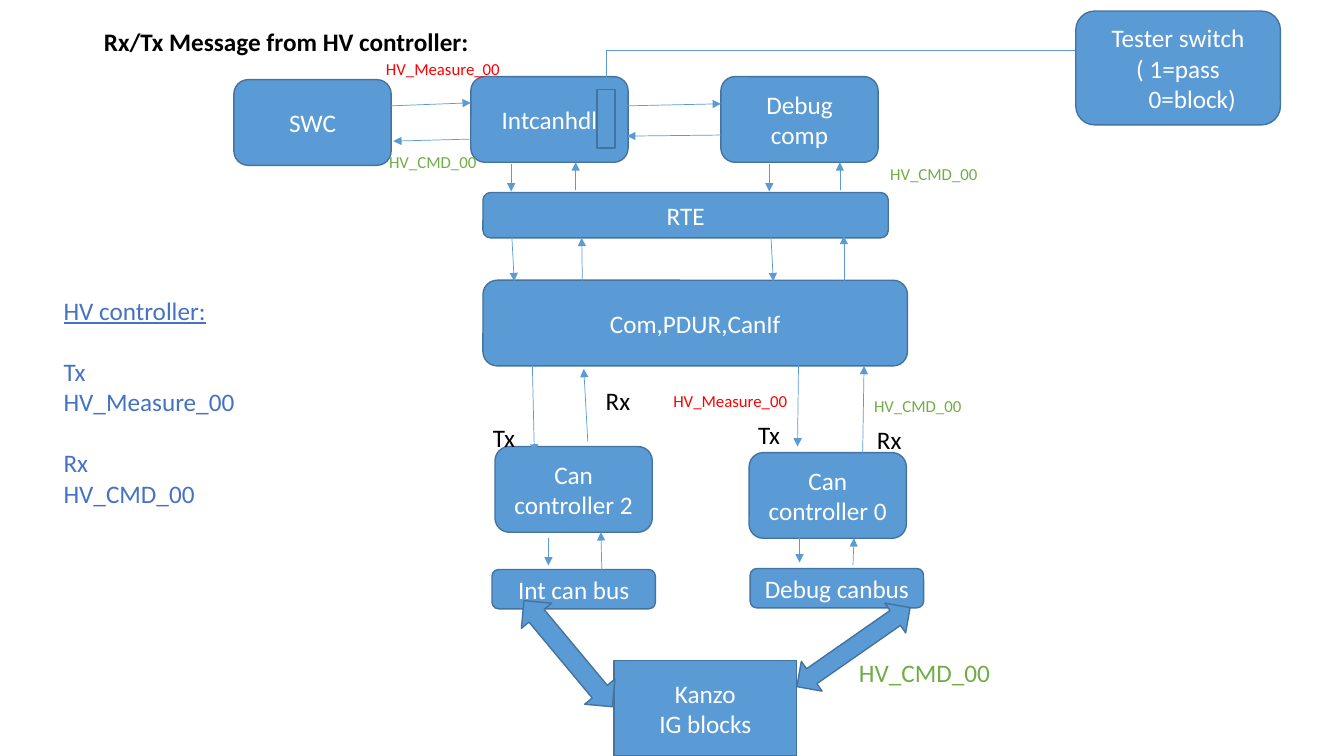
from dataclasses import dataclass

from lxml.etree import SubElement
from pptx import Presentation
from pptx.dml.color import RGBColor as Color
from pptx.enum.shapes import MSO_CONNECTOR as Connector, MSO_SHAPE as Preset
from pptx.enum.text import MSO_ANCHOR as Anchor, MSO_AUTO_SIZE as AutoSize, PP_ALIGN as Align
from pptx.oxml.ns import qn
from pptx.util import Inches, Pt


@dataclass(frozen=True)
class Theme:
    font: str = "Calibri"
    fill: str = "5B9BD5"
    outline: str = "43739E"
    white: str = "FFFFFF"
    black: str = "000000"
    receive: str = "70AD47"
    transmit: str = "FF0000"
    summary: str = "4472C4"
    text_size: int = 18
    label_size: int = 12
    outline_width: float = 1
    arrow_width: float = 0.5


class DiagramSlide:
    def __init__(self, presentation, theme):
        self.theme = theme
        self.slide = presentation.slides.add_slide(presentation.slide_layouts[1])

    def place(self, shape, bounds):
        for name, value in zip(("left", "top", "width", "height"), bounds):
            setattr(shape, name, Inches(value))

    def set_text(self, shape, lines, color, size, align=Align.LEFT, anchor=Anchor.TOP, bold=False):
        frame = shape.text_frame
        frame_format = {"word_wrap": True, "auto_size": AutoSize.NONE, "vertical_anchor": anchor}
        for name, value in frame_format.items():
            setattr(frame, name, value)
        frame.text = "\n".join(lines)
        paragraph_format = {"alignment": align, "space_before": Pt(0), "line_spacing": 1.0}
        font_format = {"name": self.theme.font, "size": Pt(size), "bold": bold}
        for paragraph in frame.paragraphs:
            for name, value in paragraph_format.items():
                setattr(paragraph, name, value)
            for run in paragraph.runs:
                for name, value in font_format.items():
                    setattr(run.font, name, value)
                run.font.color.rgb = Color.from_string(color)
        return frame.paragraphs

    def title(self, text, bounds):
        shape = self.slide.shapes.title
        self.place(shape, bounds)
        self.set_text(shape, [text], self.theme.black, self.theme.text_size, bold=True)

    def summary(self, lines, bounds, group_starts):
        shape = self.slide.placeholders[1]
        self.place(shape, bounds)
        paragraphs = self.set_text(shape, lines, self.theme.summary, self.theme.text_size)
        for paragraph in paragraphs:
            properties = paragraph._p.get_or_add_pPr()
            for name in ("marL", "indent"):
                properties.set(name, "0")
            SubElement(properties, qn("a:buNone"))
        paragraphs[0].runs[0].font.underline = True
        for index in group_starts:
            paragraphs[index].space_before = Pt(22)

    def block(self, bounds, lines=(), preset=Preset.ROUNDED_RECTANGLE, rotation=0):
        shape = self.slide.shapes.add_shape(preset, *map(Inches, bounds))
        shape.shadow.inherit = False
        shape.rotation = rotation
        shape.fill.solid()
        shape.fill.fore_color.rgb = Color.from_string(self.theme.fill)
        shape.line.color.rgb = Color.from_string(self.theme.outline)
        shape.line.width = Pt(self.theme.outline_width)
        if lines:
            self.set_text(shape, lines, self.theme.white, self.theme.text_size, Align.CENTER, Anchor.MIDDLE)
        return shape

    def label(self, text, bounds, color, size):
        shape = self.slide.shapes.add_textbox(*map(Inches, bounds))
        self.set_text(shape, [text], color, size)

    def arrow(self, start, end, kind=Connector.STRAIGHT):
        connector = self.slide.shapes.add_connector(kind, *map(Inches, start + end))
        connector.line.color.rgb = Color.from_string(self.theme.fill)
        connector.line.width = Pt(self.theme.arrow_width)
        properties = connector._element.spPr
        SubElement(properties.find(qn("a:ln")), qn("a:tailEnd"), type="triangle")
        SubElement(properties, qn("a:effectLst"))
        return connector

    def elbow_arrow(self, start, end, target, site):
        connector = self.arrow(start, end, Connector.ELBOW)
        connector._element.spPr.find(qn("a:prstGeom")).set("prst", "bentConnector2")
        connector.end_connect(target, site)


BLOCKS = [
    ((4.67, 0.76, 1.56, 0.85), "Intcanhdl"),
    ((4.91, 4.43, 1.56, 0.85), "Can controller 2"),
    ((7.15, 0.76, 1.56, 0.85), "Debug comp"),
    ((4.79, 2.78, 4.21, 0.85), "Com,PDUR,CanIf"),
    ((7.43, 4.49, 1.56, 0.85), "Can controller 0"),
    ((4.79, 1.91, 4.02, 0.45), "RTE"),
    ((7.44, 5.64, 1.72, 0.39), "Debug canbus"),
    ((2.32, 0.79, 1.56, 0.85), "SWC"),
    ((4.88, 5.65, 1.62, 0.39), "Int can bus"),
]

ARROWS = [
    ((5.28, 3.62), (5.3, 4.49)),
    ((5.83, 4.38), (5.79, 3.66)),
    ((8.55, 4.87), (8.57, 3.63)),
    ((7.92, 3.62), (7.91, 4.43)),
    ((5.44, 5.34), (5.44, 5.61)),
    ((7.93, 5.33), (7.93, 5.58)),
    ((5.97, 5.69), (5.96, 5.28)),
    ((8.46, 5.61), (8.47, 5.34)),
    ((8.37, 3.08), (8.37, 2.34)),
    ((5.07, 2.22), (5.1, 2.79)),
    ((7.64, 2.22), (7.67, 2.79)),
    ((5.78, 3.1), (5.77, 2.36)),
    ((6.22, 1.05), (7.15, 1.03)),
    ((7.15, 1.34), (6.22, 1.35)),
    ((3.88, 1.05), (4.67, 1.02)),
    ((4.67, 1.38), (3.9, 1.4)),
]
ARROWS += [((x, 1.63), (x, 1.9)) for x in (5.07, 7.63)]
ARROWS += [((x, 1.89), (x, 1.61)) for x in (5.71, 8.33)]

DIRECTION_LABELS = [
    ("Rx", (8.6, 4.16, 0.56, 0.4)),
    ("Rx", (5.91, 3.77, 0.53, 0.4)),
    ("Tx", (4.79, 4.14, 0.48, 0.4)),
    ("Tx", (7.42, 4.11, 0.48, 0.4)),
]
COMMAND_LABELS = [(8.57, 3.88, 1.48, 0.91), (8.73, 1.57, 1.68, 0.61), (3.76, 1.46, 1.68, 0.91)]
MEASURE_LABELS = [(6.58, 3.83, 2.04, 0.3), (3.73, 0.53, 1.36, 0.3)]
BUS_ARROWS = [((7.78, 6.24, 1.37, 0.36), 325.1), ((4.95, 6.29, 1.37, 0.39), 230.2)]


def main():
    presentation = Presentation()
    presentation.slide_width = Inches(13.33)
    presentation.slide_height = Inches(7.5)
    theme = Theme()
    diagram = DiagramSlide(presentation, theme)

    diagram.title("Rx/Tx Message from HV controller:", (0.93, 0.21, 4.34, 0.4))
    summary_lines = ["HV controller:", "Tx", "HV_Measure_00", "Rx", "HV_CMD_00"]
    diagram.summary(summary_lines, (0.53, 2.88, 2.52, 2.22), group_starts=(1, 3))

    for bounds, text in BLOCKS:
        diagram.block(bounds, [text])
    for start, end in ARROWS:
        diagram.arrow(start, end)

    switch_gate = diagram.block((5.92, 0.89, 0.18, 0.58), preset=Preset.RECTANGLE)
    diagram.elbow_arrow((10.67, 0.5), (6.01, 0.89), switch_gate, 0)
    tester = diagram.block((10.67, 0.11, 2.03, 1.13), ["Tester switch", "( 1=pass", "0=block)"])
    block_state = tester.text_frame.paragraphs[2]
    block_state._p.get_or_add_pPr().set("marL", str(Inches(0.28)))

    diagram.block((6.09, 6.55, 1.81, 0.95), ["Kanzo", "IG blocks"], Preset.RECTANGLE)
    for bounds, rotation in BUS_ARROWS:
        diagram.block(bounds, preset=Preset.LEFT_RIGHT_ARROW, rotation=rotation)

    for text, bounds in DIRECTION_LABELS:
        diagram.label(text, bounds, theme.black, theme.text_size)
    for bounds in COMMAND_LABELS:
        diagram.label("HV_CMD_00", bounds, theme.receive, theme.label_size)
    for bounds in MEASURE_LABELS:
        diagram.label("HV_Measure_00", bounds, theme.transmit, theme.label_size)
    diagram.label("HV_CMD_00", (8.42, 6.47, 1.9, 1.01), theme.receive, theme.text_size)

    presentation.save("out.pptx")


if __name__ == "__main__":
    main()
